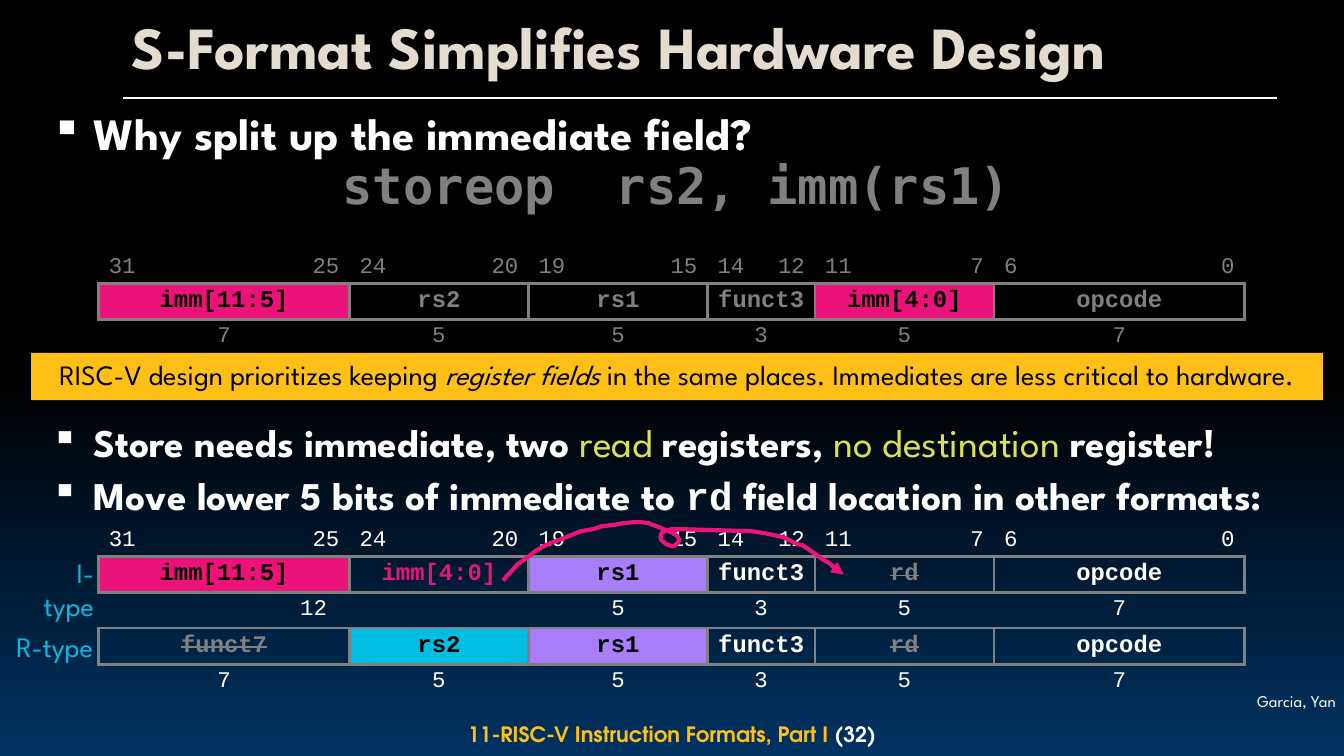
from lxml import etree
from pptx import Presentation
from pptx.dml.color import RGBColor
from pptx.enum.shapes import MSO_CONNECTOR, MSO_SHAPE
from pptx.enum.text import MSO_ANCHOR, PP_ALIGN
from pptx.oxml.ns import qn
from pptx.util import Inches, Pt

LEFT, CENTER, RIGHT = PP_ALIGN.LEFT, PP_ALIGN.CENTER, PP_ALIGN.RIGHT
TOP, MIDDLE, BOTTOM = MSO_ANCHOR.TOP, MSO_ANCHOR.MIDDLE, MSO_ANCHOR.BOTTOM
RECTANGLE, STRAIGHT = MSO_SHAPE.RECTANGLE, MSO_CONNECTOR.STRAIGHT

COLORS = {
    "black": "000000", "navy": "003262", "white": "FFFFFF", "cream": "E5DCD1",
    "gold": "FEC016", "gray": "808080", "lime": "D9E056", "pink": "EB1379",
    "purple": "A97EFA", "cyan": "00BDE2",
}
SPARTAN, COURIER = "League Spartan", "Courier New"
NO_GRID_STYLE = "{2D5ABB26-0587-4C30-8999-92F81FD0307C}"

FIELD_BITS = [7, 5, 5, 3, 5, 7]
COLUMN_BITS = {7: [2, 1, 1, 1, 2], 5: [2, 1, 2], 3: [1.5, 1.5]}
FIELD_SPANS = [len(COLUMN_BITS[bits]) for bits in FIELD_BITS]
WIDTHS = [str(bits) for bits in FIELD_BITS]

# Each field is text, text colour, fill and strikethrough.
STORE_FIELDS = [
    ("imm[11:5]", "black", "pink", False), ("rs2", "gray", None, False),
    ("rs1", "gray", None, False), ("funct3", "gray", None, False),
    ("imm[4:0]", "black", "pink", False), ("opcode", "gray", None, False),
]
SHARED_FIELDS = [
    ("rs1", "black", "purple", False), ("funct3", "white", None, False),
    ("rd", "gray", None, True), ("opcode", "white", None, False),
]
I_FIELDS = [("imm[11:5]", "black", "pink", False),
            ("imm[4:0]", "pink", None, False)] + SHARED_FIELDS
R_FIELDS = [("funct7", "gray", None, True),
            ("rs2", "black", "cyan", False)] + SHARED_FIELDS

# Hundredths of an inch on the slide.
ARROW_POINTS = [
    (499, 576), (503, 571), (508, 566), (513, 560), (519, 556), (523, 553), (532, 546),
    (543, 540), (548, 538), (559, 534), (576, 527), (588, 525), (597, 522), (607, 521),
    (619, 519), (629, 518), (636, 518), (643, 519), (651, 522), (663, 527), (668, 529),
    (672, 532), (674, 536), (671, 540), (667, 542), (661, 540), (656, 536), (655, 533),
    (656, 529), (661, 526), (667, 525), (675, 525), (745, 527), (759, 529), (768, 531),
    (777, 533), (791, 540), (796, 541), (805, 547), (816, 555), (823, 559), (827, 563),
    (833, 568), (837, 570),
]


def rgb(name):
    return RGBColor.from_string(COLORS[name])


def add_runs(paragraph, runs, **base):
    """Add (text, overrides) runs, each formatted by base plus its overrides."""
    for text, overrides in runs:
        run = paragraph.add_run()
        run.text = text
        values = {**base, **overrides}
        run.font.color.rgb = rgb(values.pop("color"))
        if values.pop("strike", False):
            run._r.get_or_add_rPr().set("strike", "sngStrike")
        run.font.size = Pt(values.pop("size"))
        for name, value in values.items():
            setattr(run.font, name, value)


def add_text(slide, box, runs, align=LEFT, anchor=TOP, spacing=None, **base):
    frame = slide.shapes.add_textbox(*map(Inches, box)).text_frame
    frame.word_wrap = True
    frame.vertical_anchor = anchor
    paragraph = frame.paragraphs[0]
    paragraph.alignment = align
    paragraph.line_spacing = spacing
    add_runs(paragraph, runs, **base)
    return frame


def add_bullets(slide, box, items, size):
    frame = slide.shapes.add_textbox(*map(Inches, box)).text_frame
    frame.word_wrap = True
    for index, runs in enumerate(items):
        paragraph = frame.add_paragraph() if index else frame.paragraphs[0]
        if index:
            paragraph.space_before = Pt(4)
        properties = paragraph._p.get_or_add_pPr()
        properties.set("marL", str(Inches(0.51)))
        properties.set("indent", str(Inches(-0.42)))
        etree.SubElement(properties, qn("a:buSzPct")).set("val", "95000")
        etree.SubElement(properties, qn("a:buChar")).set("char", "▪")
        add_runs(paragraph, runs, size=size, name=SPARTAN, color="white", bold=True)


def add_borders(cell, sides):
    properties = cell._tc.get_or_add_tcPr()
    for index, side in enumerate(sides):
        line = etree.Element(qn(f"a:ln{side}"), w=str(Pt(2.25)))
        fill = etree.SubElement(line, qn("a:solidFill"))
        etree.SubElement(fill, qn("a:srgbClr")).set("val", COLORS["gray"])
        properties.insert(index, line)


def fill_cell(cell, text, align, anchor=TOP, **font):
    cell.margin_top = cell.margin_bottom = Inches(0.05)
    cell.vertical_anchor = anchor
    paragraph = cell.text_frame.paragraphs[0]
    paragraph.alignment = align
    paragraph.line_spacing = 0.9
    add_runs(paragraph, [(text, {})], name=COURIER, **font)


def fill_bit_numbers(table, color):
    """Write the highest and lowest bit of each field above its ends."""
    high, column = sum(FIELD_BITS) - 1, 0
    for bits, span in zip(FIELD_BITS, FIELD_SPANS):
        ends = [(column, high, LEFT), (column + span - 1, high - bits + 1, RIGHT)]
        for position, number, align in ends:
            fill_cell(table.cell(0, position), str(number), align, BOTTOM, size=16, color=color)
        high, column = high - bits, column + span


def merge_spans(table, row, spans, sides):
    """Merge a row into spans and yield the first cell of each."""
    column = 0
    for span in spans:
        cells = [table.cell(row, column + offset) for offset in range(span)]
        cells[0].merge(cells[-1])
        for index, cell in enumerate(cells):
            add_borders(cell, [side for side in sides if index == 0 or side in "TB"])
        yield cells[0]
        column += span


def add_format_table(slide, left, top, formats, color):
    """Draw bit numbers, then fields and widths for each (fields, widths, spans)."""
    columns = [bits for field in FIELD_BITS for bits in COLUMN_BITS[field]]
    heights = [0.37] + [0.36, 0.35] * len(formats)
    bit_width = 11.37 / sum(FIELD_BITS)
    frame = slide.shapes.add_table(len(heights), len(columns), Inches(left), Inches(top),
                                   Inches(11.37), Inches(sum(heights)))
    table = frame.table
    table.first_row = table.horz_banding = False
    next(frame._element.iter(qn("a:tableStyleId"))).text = NO_GRID_STYLE
    for column, bits in zip(table.columns, columns):
        column.width = Inches(bits * bit_width)
    for row, height in zip(table.rows, heights):
        row.height = Inches(height)
    for cell in table.iter_cells():
        cell.margin_top = cell.margin_bottom = 0
        cell.fill.background()
    for column in range(len(columns)):
        add_borders(table.cell(0, column), "B")
    fill_bit_numbers(table, color)
    for index, (fields, widths, spans) in enumerate(formats):
        row = 1 + 2 * index
        for cell, field in zip(merge_spans(table, row, FIELD_SPANS, "LRTB"), fields):
            text, text_color, fill, strike = field
            if fill:
                cell.fill.solid()
                cell.fill.fore_color.rgb = rgb(fill)
            fill_cell(cell, text, CENTER, size=17, bold=True, color=text_color, strike=strike)
        sides = "T" if index == len(formats) - 1 else "TB"
        for cell, width in zip(merge_spans(table, row + 1, spans, sides), widths):
            fill_cell(cell, width, CENTER, size=16, color=color)


def add_banner(slide, box):
    banner = slide.shapes.add_shape(RECTANGLE, *map(Inches, box))
    banner.shadow.inherit = False
    banner.fill.solid()
    banner.fill.fore_color.rgb = rgb("gold")
    banner.line.fill.background()
    frame = banner.text_frame
    frame.word_wrap = True
    frame.vertical_anchor = MIDDLE
    paragraph = frame.paragraphs[0]
    paragraph.alignment = CENTER
    paragraph.line_spacing = 0.9
    add_runs(paragraph, [
        ("RISC-V design prioritizes keeping ", {}), ("register fields ", {"italic": True}),
        ("in the same places. Immediates are less critical to hardware.", {}),
    ], size=20, name=SPARTAN, color="black")


def add_move_arrow(slide):
    builder = slide.shapes.build_freeform(*ARROW_POINTS[0], scale=Inches(0.01))
    builder.add_line_segments(ARROW_POINTS[1:], close=False)
    arrow = builder.convert_to_shape()
    arrow.shadow.inherit = False
    arrow.fill.background()
    arrow.line.color.rgb = rgb("pink")
    arrow.line.width = Pt(3)
    line = arrow.line._get_or_add_ln()
    etree.SubElement(line, qn("a:round"))
    etree.SubElement(line, qn("a:tailEnd")).set("type", "triangle")


def add_frame(slide):
    """Set the background, title, rule and footer."""
    fill = slide.background.fill
    fill.gradient()
    fill.gradient_angle = 270
    for stop, position, color in zip(fill.gradient_stops, (0.5, 1), ("black", "navy")):
        stop.position = position
        stop.color.rgb = rgb(color)
    credit = add_text(slide, (11.89, 6.83, 1.44, 0.26), [("Garcia, Yan", {})], RIGHT,
                      size=11.7, name=SPARTAN, color="white")
    credit.margin_left = credit.margin_right = Inches(0.08)
    credit.margin_top = credit.margin_bottom = Inches(0.03)
    add_text(slide, (2.45, 7.12, 8.43, 0.32),
             [("11-RISC-V Instruction Formats, Part I ", {}), ("(32)", {"color": "white"})],
             CENTER, MIDDLE, size=15.1, name="TeX Gyre Adventor", color="gold", bold=True)
    rule = slide.shapes.add_connector(STRAIGHT, *map(Inches, (1.22, 0.97, 12.67, 0.97)))
    rule.line.color.rgb = rgb("white")
    rule.line.width = Pt(1.5)
    etree.SubElement(rule._element.spPr, qn("a:effectLst"))
    add_text(slide, (1.21, 0.08, 11.49, 0.84), [("S-Format Simplifies Hardware Design", {})],
             LEFT, MIDDLE, 0.9, size=42.7, name=SPARTAN, color="cream", bold=True)


def main():
    presentation = Presentation()
    presentation.slide_width, presentation.slide_height = Inches(13.33), Inches(7.5)
    slide = presentation.slides.add_slide(presentation.slide_layouts[6])
    add_frame(slide)
    add_bullets(slide, (0.32, 1, 12.39, 0.84), [[("Why split up the immediate field?", {})]], 32)
    add_text(slide, (3.18, 1.48, 7.06, 0.71), [("storeop  rs2, imm(rs1)", {})], CENTER,
             size=36, name="DejaVu Sans Mono", color="gray", bold=True)
    accent = {"color": "lime", "bold": False}
    add_bullets(slide, (0.32, 4.1, 12.39, 1.32), [
        [("Store needs immediate, two ", {}), ("read", accent), (" registers, ", {}),
         ("no destination", accent), (" register!", {})],
        [("Move lower 5 bits of immediate to ", {}), ("rd", {"name": COURIER}),
         (" field location in other formats:", {})],
    ], 28)
    add_banner(slide, (0.31, 3.5, 12.81, 0.47))
    add_format_table(slide, 0.98, 5.15, [
        (I_FIELDS, ["12"] + WIDTHS[2:], [sum(FIELD_SPANS[:2])] + FIELD_SPANS[2:]),
        (R_FIELDS, WIDTHS, FIELD_SPANS),
    ], "white")
    for label, box in (("I-type", (0.17, 5.46, 0.86, 0.44)), ("R-type", (0.02, 6.2, 1, 0.44))):
        add_text(slide, box, [(label, {})], RIGHT, size=20, name=SPARTAN, color="cyan")
    add_move_arrow(slide)
    add_format_table(slide, 0.98, 2.44, [(STORE_FIELDS, WIDTHS, FIELD_SPANS)], "gray")
    presentation.save("out.pptx")


if __name__ == "__main__":
    main()
